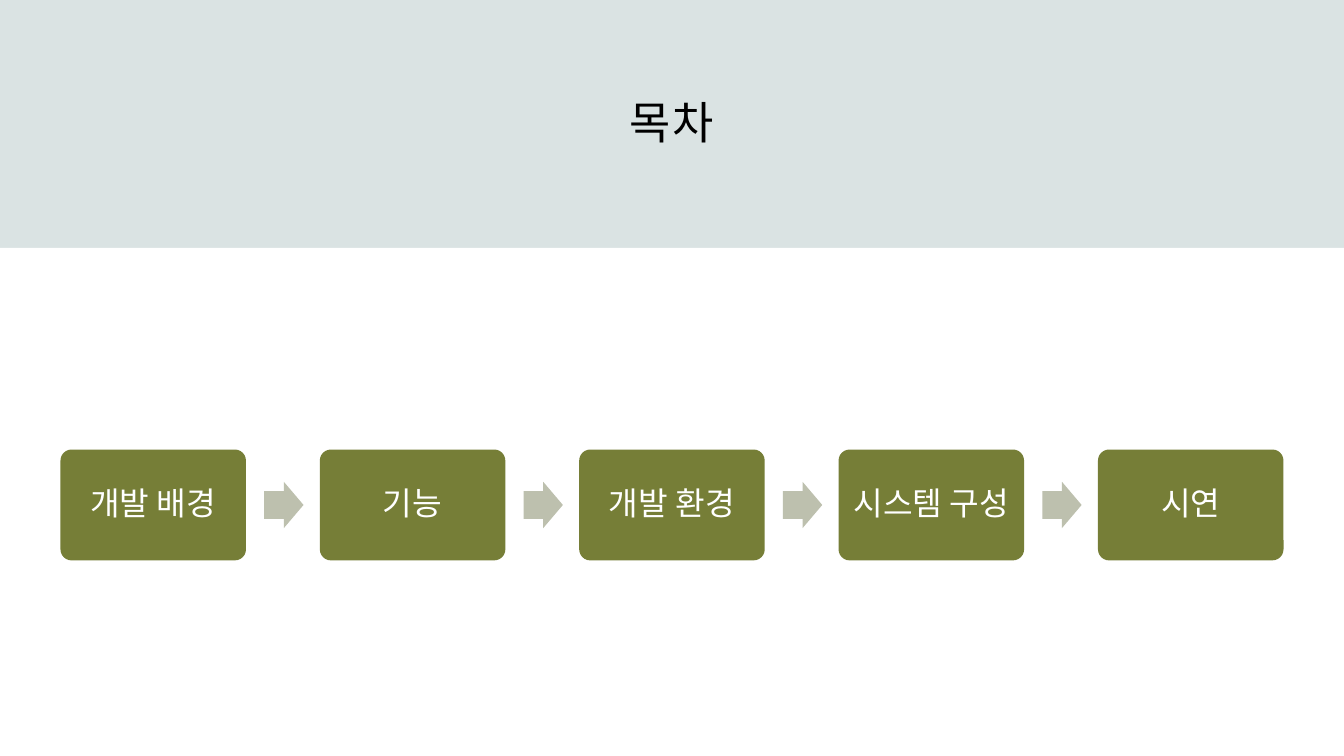
from pptx import Presentation
from pptx.dml.color import RGBColor
from pptx.enum.shapes import MSO_SHAPE
from pptx.enum.text import MSO_ANCHOR, PP_ALIGN
from pptx.util import Inches, Pt

TITLE = "목차"
STEPS = ["개발 배경", "기능", "개발 환경", "시스템 구성", "시연"]

FONT = "Lato"
MIST = RGBColor(0xDA, 0xE3, 0xE3)
OLIVE = RGBColor(0x76, 0x7E, 0x37)
SAGE = RGBColor(0xBD, 0xC0, 0xAE)
WHITE = RGBColor(0xFF, 0xFF, 0xFF)
BLACK = RGBColor(0, 0, 0)

RECTANGLE = MSO_SHAPE.RECTANGLE
ROUNDED = MSO_SHAPE.ROUNDED_RECTANGLE
ARROW = MSO_SHAPE.RIGHT_ARROW
MIDDLE = MSO_ANCHOR.MIDDLE
CENTER = PP_ALIGN.CENTER

SLIDE_W, SLIDE_H = 13.33, 7.5
HEADER_H = 2.46
MARGIN = 0.6
STEP_W, STEP_H = 1.84, 1.1
ARROW_W, ARROW_H = 0.39, 0.46
ARROW_GAP = 0.18
FLOW_MIDDLE = 5.01
PITCH = (SLIDE_W - 2 * MARGIN - STEP_W) / (len(STEPS) - 1)


def add_block(slide, kind, left, top, width, height, color):
    block = slide.shapes.add_shape(
        kind, Inches(left), Inches(top), Inches(width), Inches(height))
    block.shadow.inherit = False
    block.fill.solid()
    block.fill.fore_color.rgb = color
    block.line.fill.background()
    return block


def write(shape, text, size, color, inset):
    frame = shape.text_frame
    frame.text = text
    frame.word_wrap = True
    frame.vertical_anchor = MIDDLE
    frame.margin_left = frame.margin_right = Inches(inset)
    frame.margin_top = frame.margin_bottom = Inches(inset)
    paragraph = frame.paragraphs[0]
    paragraph.alignment = CENTER
    font = paragraph.runs[0].font
    font.name = FONT
    font.size = Pt(size)
    font.color.rgb = color
    return paragraph


def main():
    deck = Presentation()
    deck.slide_width, deck.slide_height = Inches(SLIDE_W), Inches(SLIDE_H)
    slide = deck.slides.add_slide(deck.slide_layouts[6])
    slide.background.fill.solid()
    slide.background.fill.fore_color.rgb = MIST

    title = slide.shapes.add_textbox(
        Inches(1.18), Inches(0.59), Inches(10.97), Inches(HEADER_H / 2))
    heading = write(title, TITLE, 32, BLACK, 0.12)
    heading.runs[0].font._element.set("spc", "120")

    add_block(slide, RECTANGLE, 0, HEADER_H, SLIDE_W, SLIDE_H - HEADER_H, WHITE)

    for index, step in enumerate(STEPS):
        left = MARGIN + index * PITCH
        box = add_block(slide, ROUNDED, left, FLOW_MIDDLE - STEP_H / 2,
                        STEP_W, STEP_H, OLIVE)
        box.adjustments[0] = 0.1
        write(box, step, 23, WHITE, 0.1).line_spacing = 0.9
        if index < len(STEPS) - 1:
            arrow = add_block(slide, ARROW, left + STEP_W + ARROW_GAP,
                              FLOW_MIDDLE - ARROW_H / 2, ARROW_W, ARROW_H, SAGE)
            arrow.adjustments[0] = 0.6
            arrow.adjustments[1] = 0.5

    deck.save("out.pptx")


if __name__ == "__main__":
    main()
